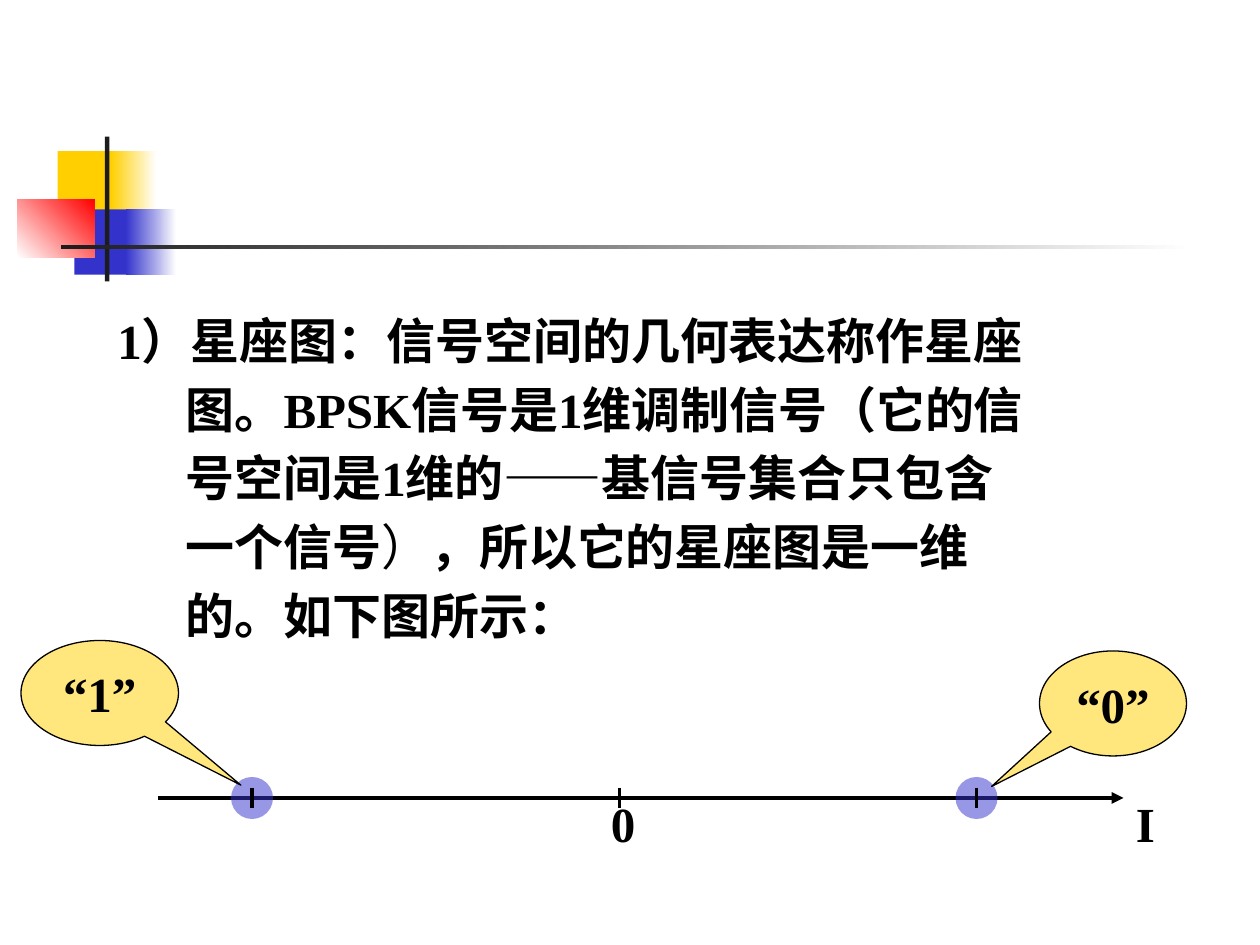
"""Build a slide that explains the BPSK constellation diagram."""
import dataclasses

import lxml.etree
import pptx
import pptx.dml.color
import pptx.enum.shapes
import pptx.enum.text
import pptx.oxml.ns
import pptx.util

Pt = pptx.util.Pt
SHAPES = pptx.enum.shapes.MSO_SHAPE
ALIGN = pptx.enum.text.PP_ALIGN
ANCHOR = pptx.enum.text.MSO_ANCHOR


@dataclasses.dataclass(frozen=True)
class Theme:
    """Colours, fonts and type sizes of the slide."""
    white: str = "FFFFFF"
    black: str = "000000"
    dark: str = "1C1C1C"
    yellow: str = "FFCF01"
    blue: str = "3333CC"
    red: str = "FF0000"
    font: str = "Times New Roman"
    second_font: str = "Karla"
    size: float = 28
    paragraph_gap: float = 5.6
    opacity: int = 51


def rgb(value):
    """Return a colour object for a hex string."""
    return pptx.dml.color.RGBColor.from_string(value)


def add_element(parent, tag, **attributes):
    """Append a DrawingML element to a parent."""
    return lxml.etree.SubElement(parent, pptx.oxml.ns.qn(tag), attributes)


class SlideBuilder:
    """Draw styled elements on the current slide."""

    def __init__(self, slide, theme):
        """Keep the slide and its theme."""
        self.slide = slide
        self.theme = theme

    def shape(self, kind, box, colour, opacity=100, outline=None):
        """Add a preset shape with a solid fill."""
        shape = self.slide.shapes.add_shape(kind, *map(Pt, box))
        shape.shadow.inherit = False
        shape.fill.solid()
        shape.fill.fore_color.rgb = rgb(colour)
        if opacity < 100:
            colour_element = shape._element.spPr.find(".//" + pptx.oxml.ns.qn("a:srgbClr"))
            add_element(colour_element, "a:alpha", val=str(opacity * 1000))
        if outline:
            shape.line.color.rgb = rgb(outline)
            shape.line.width = Pt(0.75)
        else:
            shape.line.fill.background()
        return shape

    def gradient(self, box, start, end, angle=0):
        """Add a rectangle that fades between two colours."""
        shape = self.shape(SHAPES.RECTANGLE, box, start)
        shape.fill.gradient()
        shape.fill.gradient_angle = angle
        for stop, position, colour in zip(shape.fill.gradient_stops, (0, 1), (start, end)):
            stop.position = position
            stop.color.rgb = rgb(colour)

    def line(self, start, end, width, arrow=False):
        """Add a straight line, with an arrowhead if wanted."""
        connector = self.slide.shapes.add_connector(
            pptx.enum.shapes.MSO_CONNECTOR.STRAIGHT, *map(Pt, start + end))
        connector.line.color.rgb = rgb(self.theme.black)
        connector.line.width = Pt(width)
        if arrow:
            add_element(connector.line._get_or_add_ln(), "a:tailEnd", type="triangle")
        add_element(connector._element.spPr, "a:effectLst")

    def format_run(self, run, font=None, bold=True):
        """Apply the text style to a run."""
        run.font.name = font or self.theme.font
        run.font.size = Pt(self.theme.size)
        run.font.bold = bold
        run.font.color.rgb = rgb(self.theme.black)

    def label(self, text, box):
        """Add a one-line text box."""
        shape = self.slide.shapes.add_textbox(*map(Pt, box))
        shape.text_frame.text = text
        shape.text_frame.word_wrap = True
        self.format_run(shape.text_frame.paragraphs[0].runs[0])

    def body(self, lines, box, indent):
        """Add the explanation, one paragraph a line, indented after the first."""
        frame = self.slide.shapes.add_textbox(*map(Pt, box)).text_frame
        frame.word_wrap = True
        for index, parts in enumerate(lines):
            paragraph = frame.add_paragraph() if index else frame.paragraphs[0]
            if index:
                paragraph._p.get_or_add_pPr().set("marL", str(Pt(indent)))
                paragraph.space_before = Pt(self.theme.paragraph_gap)
            for text, font, bold in parts:
                run = paragraph.add_run()
                run.text = text
                self.format_run(run, font, bold)

    def callout(self, text, box, pointer):
        """Add an elliptical callout with centred text."""
        shape = self.shape(SHAPES.OVAL_CALLOUT, box, self.theme.yellow,
                           self.theme.opacity, self.theme.black)
        for index, value in enumerate(pointer):
            shape.adjustments[index] = value
        frame = shape.text_frame
        frame.text = text
        frame.word_wrap = False
        frame.vertical_anchor = ANCHOR.MIDDLE
        frame.paragraphs[0].alignment = ALIGN.CENTER
        self.format_run(frame.paragraphs[0].runs[0])


def draw_ornament(builder):
    """Draw the coloured blocks and rules at the top."""
    theme = builder.theme
    builder.shape(SHAPES.RECTANGLE, (33, 86.4, 34.5, 37.4), theme.yellow)
    builder.gradient((63.4, 86.4, 26, 37.4), theme.yellow, theme.white)
    builder.shape(SHAPES.RECTANGLE, (42.5, 119.6, 33, 37.4), theme.blue)
    builder.gradient((72, 119.6, 28.8, 37.4), theme.blue, theme.white)
    builder.gradient((10, 113.8, 44, 33.4), theme.white, theme.red, 45)
    builder.shape(SHAPES.RECTANGLE, (60, 78, 2.5, 82.8), theme.dark)
    builder.gradient((34.6, 140, 648, 2.5), theme.dark, theme.white)


def draw_constellation(builder):
    """Draw the axis, its two signal points and their labels."""
    axis, radius, tick = 456, 12, 6
    origin, points = 354, (558, 144)
    builder.line((90, axis), (642, axis), 2.25, arrow=True)
    for x in points:
        box = (x - radius, axis - radius, 2 * radius, 2 * radius)
        builder.shape(SHAPES.OVAL, box, builder.theme.blue, builder.theme.opacity)
    for x in (origin, *points):
        builder.line((x, axis - tick), (x, axis + tick), 2)
    builder.callout("“0”", (594, 372, 84, 60), (-0.826, 0.79))
    builder.callout("“1”", (12, 366, 90, 60), (0.896, 0.877))
    for text, left in (("0", 342), ("I", 642)):
        builder.label(text, (left, 450, 36, 41))


def main():
    """Build and save the presentation."""
    presentation = pptx.Presentation()
    presentation.slide_width, presentation.slide_height = Pt(720), Pt(540)
    theme = Theme()
    slide = presentation.slides.add_slide(presentation.slide_layouts[6])
    builder = SlideBuilder(slide, theme)
    draw_ornament(builder)
    lines = (
        [("1）星座图：信号空间的几何表达称作星座", theme.font, True)],
        [("图。BPSK信号是1维调制信号（它的信", theme.font, True)],
        [("号空间是1维的——基信号集合只包含", theme.font, True)],
        [("一个信号", theme.second_font, True), ("）", theme.second_font, False),
         ("，所以它的星座图是一维", theme.font, True)],
        [("的。如下图所示：", theme.font, True)],
    )
    builder.body(lines, (60, 174, 612, 330), indent=39)
    draw_constellation(builder)
    presentation.save("out.pptx")


if __name__ == "__main__":
    main()
